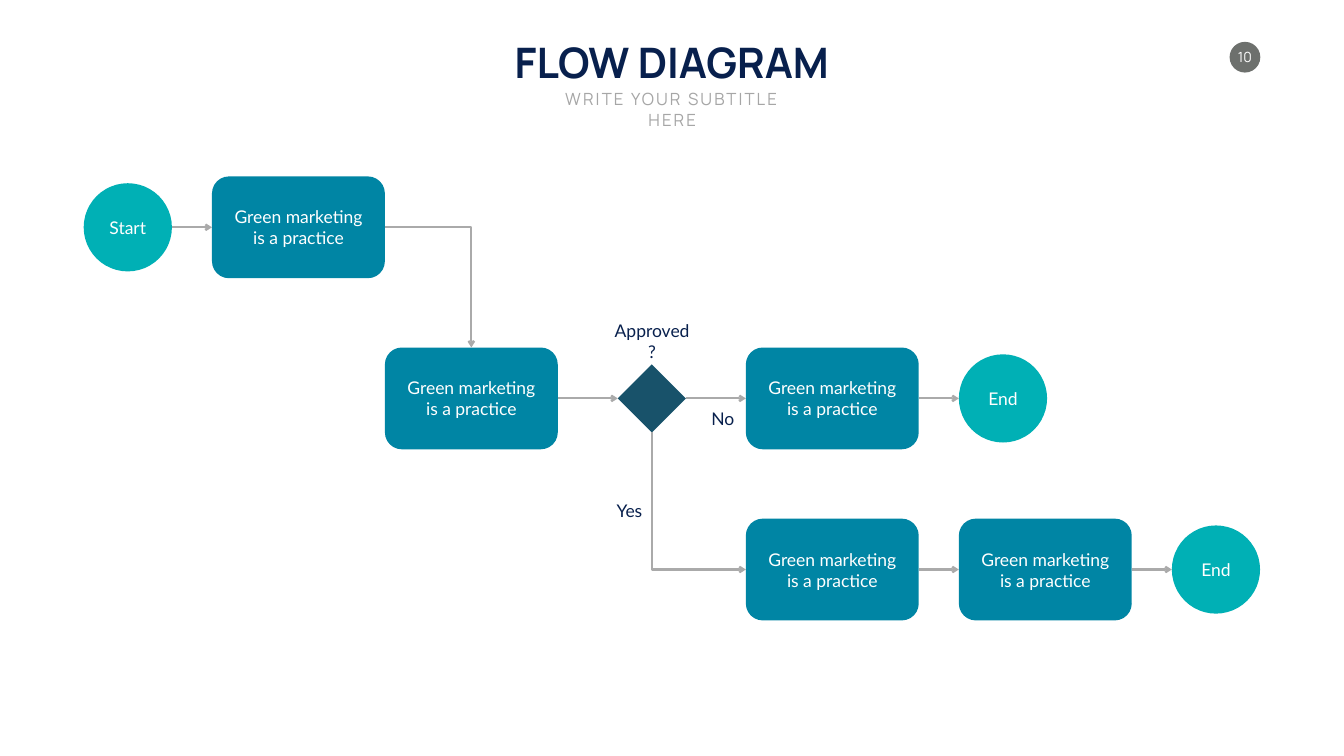
from dataclasses import dataclass
from typing import NamedTuple

from lxml import etree
from pptx import Presentation
from pptx.dml.color import RGBColor
from pptx.enum.shapes import MSO_CONNECTOR, MSO_SHAPE
from pptx.enum.text import MSO_ANCHOR, MSO_AUTO_SIZE, PP_ALIGN
from pptx.oxml.ns import qn
from pptx.util import Inches, Pt

CIRCLE = MSO_SHAPE.OVAL
PROCESS = MSO_SHAPE.FLOWCHART_ALTERNATE_PROCESS
DECISION = MSO_SHAPE.FLOWCHART_DECISION
STRAIGHT, ELBOW = MSO_CONNECTOR.STRAIGHT, MSO_CONNECTOR.ELBOW
TOP, MIDDLE = MSO_ANCHOR.TOP, MSO_ANCHOR.MIDDLE
CENTER, RIGHT = PP_ALIGN.CENTER, PP_ALIGN.RIGHT
GROW = MSO_AUTO_SIZE.SHAPE_TO_FIT_TEXT


@dataclass(frozen=True)
class Theme:
    navy: str = "08204D"
    teal: str = "00B0B5"
    blue: str = "0085A4"
    slate: str = "18526A"
    badge: str = "6D706D"
    subtitle: str = "A6A6A6"
    line: str = "AAAAAA"
    white: str = "FFFFFF"
    heading_font: str = "Manrope"
    body_font: str = "Lato"
    title_size: int = 60
    subtitle_size: int = 24
    body_size: int = 25
    number_size: int = 20
    line_width: int = 3


class Node(NamedTuple):
    """Outline of a flow step, in inches."""
    left: float
    middle: float
    width: float
    height: float

    @property
    def right(self):
        return self.left + self.width

    @property
    def center(self):
        return self.left + self.width / 2

    @property
    def top(self):
        return self.middle - self.height / 2

    @property
    def bottom(self):
        return self.middle + self.height / 2


class FlowSlide:
    def __init__(self, slide, theme):
        self.slide = slide
        self.theme = theme

    def text(self, words, left, top, width, height, size=None, font=None,
             color=None, bold=False, align=CENTER, anchor=MIDDLE,
             wrap=False, spacing=0, inset=True):
        box = self.slide.shapes.add_textbox(
            Inches(left), Inches(top), Inches(width), Inches(height))
        frame = box.text_frame
        frame.word_wrap = wrap
        frame.auto_size = GROW
        frame.vertical_anchor = anchor
        if not inset:
            frame.margin_left = frame.margin_right = 0
            frame.margin_top = frame.margin_bottom = 0
        paragraph = frame.paragraphs[0]
        paragraph.alignment = align
        run = paragraph.add_run()
        run.text = words
        run.font.name = font or self.theme.body_font
        run.font.size = Pt(size or self.theme.body_size)
        run.font.bold = bold
        run.font.color.rgb = RGBColor.from_string(color or self.theme.navy)
        if spacing:
            run.font._element.set("spc", str(spacing * 100))

    def centered_text(self, words, node, width, height, **style):
        self.text(words, node.center - width / 2, node.middle - height / 2,
                  width, height, color=self.theme.white, **style)

    def shape(self, kind, node, color):
        shape = self.slide.shapes.add_shape(
            kind, Inches(node.left), Inches(node.top),
            Inches(node.width), Inches(node.height))
        shape.shadow.inherit = False
        shape.fill.solid()
        shape.fill.fore_color.rgb = RGBColor.from_string(color)
        shape.line.fill.background()
        return node

    def terminal(self, words, left, middle, text_width):
        node = self.shape(CIRCLE, Node(left, middle, 1.75, 1.75), self.theme.teal)
        self.centered_text(words, node, text_width, 0.52)
        return node

    def process(self, words, left, middle):
        node = self.shape(PROCESS, Node(left, middle, 3.43, 2.02), self.theme.blue)
        self.centered_text(words, node, 2.99, 0.94, wrap=True)
        return node

    def decision(self, left, middle):
        return self.shape(DECISION, Node(left, middle, 1.35, 1.35), self.theme.slate)

    def arrow(self, start, end, kind=STRAIGHT):
        connector = self.slide.shapes.add_connector(
            kind, *(Inches(value) for value in (*start, *end)))
        connector.line.color.rgb = RGBColor.from_string(self.theme.line)
        connector.line.width = Pt(self.theme.line_width)
        line = connector.line._get_or_add_ln()
        etree.SubElement(line, qn("a:tailEnd"), type="arrow")
        properties = connector._element.spPr
        etree.SubElement(properties, qn("a:effectLst"))
        return connector

    def link(self, source, target):
        self.arrow((source.right, source.middle), (target.left, target.middle))

    def elbow(self, start, end, down_first=False):
        connector = self.arrow(start, end, ELBOW)
        properties = connector._element.spPr
        properties.find(qn("a:prstGeom")).set("prst", "bentConnector2")
        if down_first:
            # A quarter turn and a flip make the path run down, then right
            shift = (connector.width - connector.height) // 2
            connector.left, connector.top = connector.left + shift, connector.top - shift
            connector.width, connector.height = connector.height, connector.width
            transform = properties.find(qn("a:xfrm"))
            transform.set("rot", "16200000")
            transform.set("flipH", "1")


def main():
    presentation = Presentation()
    presentation.slide_width = Inches(26.66)
    presentation.slide_height = Inches(15)
    theme = Theme()
    flow = FlowSlide(presentation.slides.add_slide(presentation.slide_layouts[6]), theme)

    # Page number
    badge = flow.shape(CIRCLE, Node(24.39, 1.135, 0.61, 0.61), theme.badge)
    flow.centered_text("10", badge, 0.41, 0.34, size=theme.number_size,
                       font=theme.heading_font, inset=False)

    # Heading
    flow.text("FLOW DIAGRAM", 9.9, 0.67, 6.85, 1.11, theme.title_size,
              theme.heading_font, bold=True, anchor=TOP)
    flow.text("WRITE YOUR SUBTITLE HERE", 10.62, 1.72, 5.43, 0.5,
              theme.subtitle_size, theme.heading_font, theme.subtitle,
              anchor=TOP, spacing=3)

    # Steps, on three evenly spaced rows
    upper, center, lower = (4.51 + 3.395 * row for row in range(3))
    step_text = "Green marketing is a practice"
    gap, wide_gap = 0.795, 1.19

    start = flow.terminal("Start", 1.66, upper, 0.94)
    first = flow.process(step_text, start.right + gap, upper)

    second = flow.process(step_text, first.right, center)
    approval = flow.decision(second.right + wide_gap, center)
    rejected = flow.process(step_text, approval.right + wide_gap, center)
    rejected_end = flow.terminal("End", rejected.right + gap, center, 0.81)

    approved = flow.process(step_text, rejected.left, lower)
    last = flow.process(step_text, approved.right + gap, lower)
    approved_end = flow.terminal("End", last.right + gap, lower, 0.81)

    # Arrows
    for chain in ((start, first), (second, approval, rejected, rejected_end),
                  (approved, last, approved_end)):
        for source, target in zip(chain, chain[1:]):
            flow.link(source, target)
    flow.elbow((first.right, first.middle), (second.center, second.top))
    flow.elbow((approval.center, approval.bottom), (approved.left, approved.middle),
               down_first=True)

    # Decision labels
    flow.text("Approved?", 12.04, 6.51, 1.79, 0.52)
    flow.text("No", 14.01, 8.04, 0.66, 0.52)
    flow.text("Yes", 12.11, 9.86, 0.73, 0.52, align=RIGHT)

    presentation.save("out.pptx")


if __name__ == "__main__":
    main()
